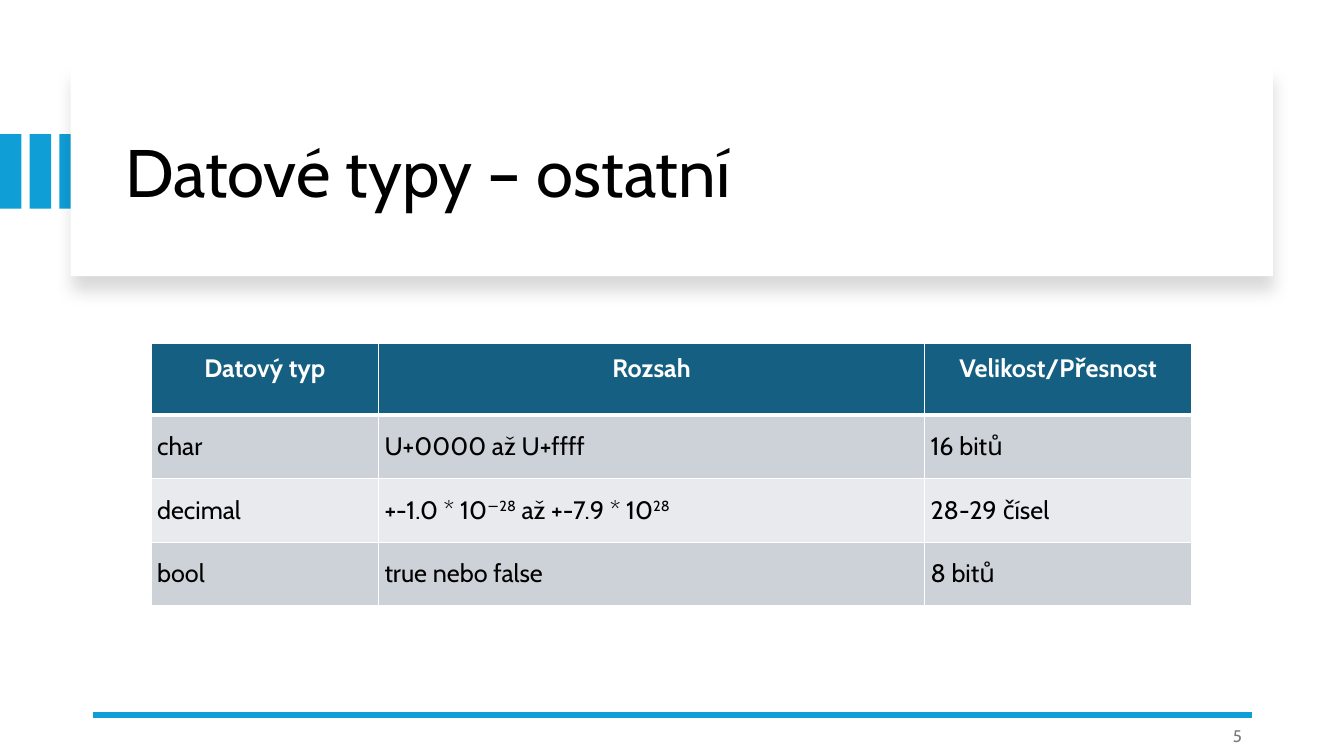
from lxml.etree import SubElement
from pptx import Presentation
from pptx.dml.color import RGBColor
from pptx.enum.shapes import MSO_CONNECTOR, MSO_SHAPE
from pptx.enum.text import MSO_ANCHOR, PP_ALIGN
from pptx.oxml import parse_xml
from pptx.oxml.ns import nsdecls, qn
from pptx.util import Cm, Pt

FONT = "Cabin"
BLUE, NAVY, WHITE, BLACK, GREY = "0F9ED5", "156082", "FFFFFF", "000000", "797979"
BANDS = ["CCD2D8", "E8EAED"]
COLS = [5.73, 13.76, 6.73]
ROWS = [1.8, 1.6, 1.6, 1.6]
HEAD = ["Datový typ", "Rozsah", "Velikost/Přesnost"]
BODY = [
    ["char", "U+0000 až U+ffff", "16 bitů"],
    ["decimal", "+-1.0 * 10^−28^ až +-7.9 * 10^28", "28-29 čísel"],
    ["bool", "true nebo false", "8 bitů"],
]


def tint(color):
    """Turn a hex string into a colour."""
    return RGBColor.from_string(color)


def write(para, text, size, color, bold=False):
    """Add runs to a paragraph; every second part between carets is raised."""
    for i, part in enumerate(text.split("^")):
        run = para.add_run()
        run.text = part
        font = run.font
        font.name, font.size, font.bold = FONT, Pt(size), bold
        font.color.rgb = tint(color)
        if i % 2:
            run._r.get_or_add_rPr().set("baseline", "30000")


def block(slide, left, top, width, height, color):
    """Draw a plain rectangle without outline or shadow."""
    shape = slide.shapes.add_shape(
        MSO_SHAPE.RECTANGLE, Cm(left), Cm(top), Cm(width), Cm(height))
    shape.shadow.inherit = False
    shape.fill.solid()
    shape.fill.fore_color.rgb = tint(color)
    shape.line.fill.background()
    return shape


def shade(shape):
    """Give a shape a soft shadow below it."""
    glow = SubElement(
        shape._element.spPr.find(qn("a:effectLst")), qn("a:outerShdw"),
        blurRad=str(Pt(11)), dist=str(Pt(10)), dir="5400000",
        algn="t", rotWithShape="0")
    color = SubElement(glow, qn("a:srgbClr"), val=BLACK)
    SubElement(color, qn("a:alpha"), val="15000")


def header(slide, left, top, width, height):
    """Place the stripes, the card and the title."""
    for i in range(3):
        block(slide, i * 0.75, top + 1.68, 0.54, 1.88, BLUE)
    shade(block(slide, left, top, width, height, WHITE))
    title = slide.shapes.title
    title.left, title.top = Cm(left + 1.12), Cm(top + 0.56)
    title.width, title.height = Cm(width - 2.03), Cm(height - 0.94)
    frame = title.text_frame
    frame.word_wrap = True
    frame.vertical_anchor = MSO_ANCHOR.MIDDLE
    para = frame.paragraphs[0]
    para.alignment, para.line_spacing = PP_ALIGN.LEFT, 0.9
    write(para, "Datové typy – ostatní", 48, BLACK)
    slide.shapes._spTree.append(title._element)


def edge(cell, base):
    """Draw white borders round a cell, the lower one as thick as given."""
    props = cell._tc.get_or_add_tcPr()
    for i, (side, size) in enumerate([("L", 1), ("R", 1), ("T", 1), ("B", base)]):
        props.insert(i, parse_xml(
            f'<a:ln{side} {nsdecls("a")} w="{Pt(size)}"><a:solidFill>'
            f'<a:srgbClr val="{WHITE}"/></a:solidFill></a:ln{side}>'))


def fill(cell, text, row):
    """Write and format one table cell."""
    head = row == 0
    cell.margin_left = cell.margin_right = Cm(0.15)
    cell.margin_top = cell.margin_bottom = Cm(0.25)
    cell.vertical_anchor = MSO_ANCHOR.TOP if head else MSO_ANCHOR.MIDDLE
    cell.fill.solid()
    cell.fill.fore_color.rgb = tint(NAVY if head else BANDS[(row - 1) % 2])
    edge(cell, 3 if head else 1)
    para = cell.text_frame.paragraphs[0]
    para.alignment = PP_ALIGN.CENTER if head else PP_ALIGN.LEFT
    write(para, text, 18, WHITE if head else BLACK, head)


def grid(slide, left, top):
    """Place the table of data types."""
    table = slide.shapes.add_table(
        len(ROWS), len(COLS), Cm(left), Cm(top), Cm(sum(COLS)), Cm(sum(ROWS))).table
    for col, width in zip(table.columns, COLS):
        col.width = Cm(width)
    for row, height in zip(table.rows, ROWS):
        row.height = Cm(height)
    for i, line in enumerate([HEAD] + BODY):
        for j, text in enumerate(line):
            fill(table.cell(i, j), text, i)


def footer(slide, left, top, width):
    """Place the rule and the page number."""
    right = left + width
    rule = slide.shapes.add_connector(
        MSO_CONNECTOR.STRAIGHT, Cm(right), Cm(top), Cm(left), Cm(top))
    rule.line.color.rgb = tint(BLUE)
    rule.line.width = Pt(4.5)
    SubElement(rule._element.spPr, qn("a:effectLst"))
    box = slide.shapes.add_textbox(Cm(right - 7.62), Cm(top + 0.02), Cm(7.62), Cm(1.02))
    frame = box.text_frame
    frame.word_wrap = True
    frame.vertical_anchor = MSO_ANCHOR.MIDDLE
    para = frame.paragraphs[0]
    para.alignment, para.space_after = PP_ALIGN.RIGHT, Pt(6)
    write(para, "5", 12, GREY)


def main():
    """Build the slide and save it."""
    deck = Presentation()
    deck.slide_width, deck.slide_height = Cm(33.87), Cm(19.05)
    slide = deck.slides.add_slide(deck.slide_layouts[5])
    header(slide, 1.78, 1.7, 30.3, 5.26)
    footer(slide, 2.34, 18.01, 29.21)
    grid(slide, 3.81, 8.66)
    deck.save("out.pptx")


if __name__ == "__main__":
    main()
